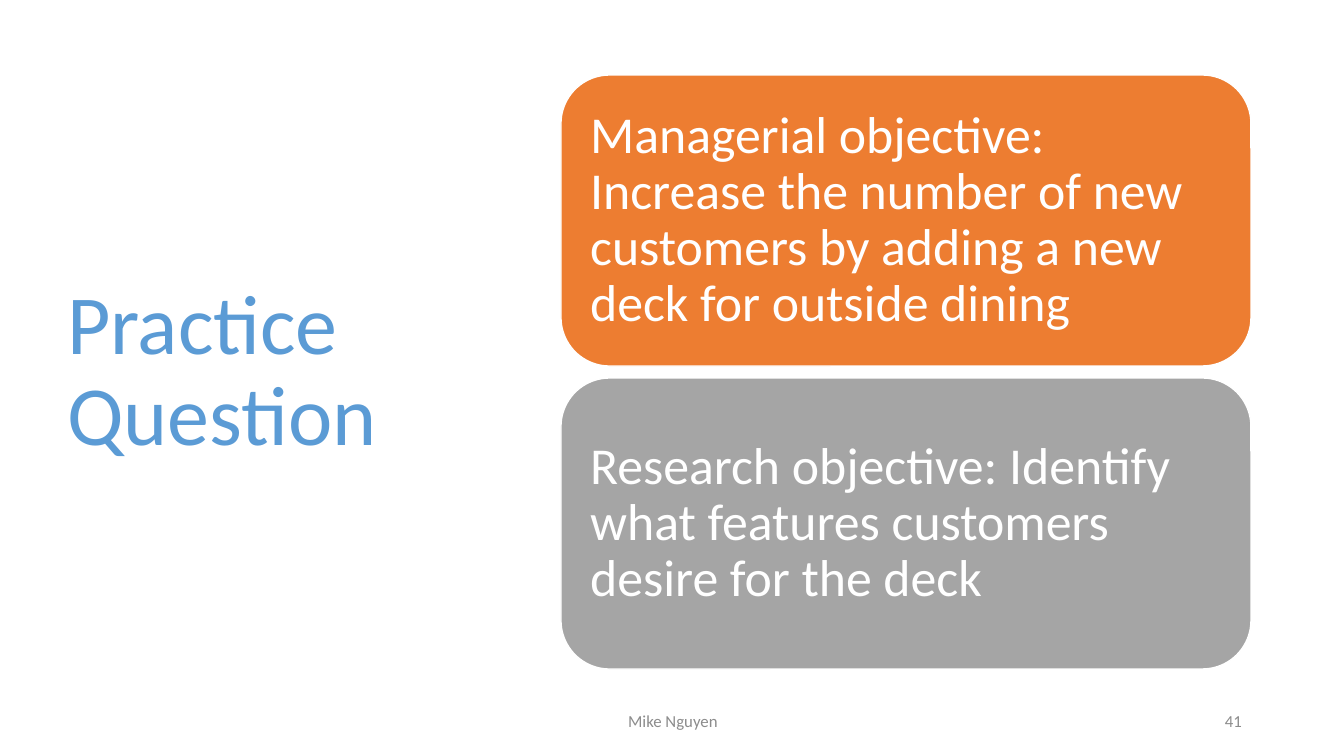
from dataclasses import dataclass

from pptx import Presentation
from pptx.dml.color import RGBColor
from pptx.enum.shapes import MSO_SHAPE
from pptx.enum.text import MSO_ANCHOR, MSO_AUTO_SIZE, PP_ALIGN
from pptx.util import Emu, Pt

ROUNDED = MSO_SHAPE.ROUNDED_RECTANGLE
MIDDLE = MSO_ANCHOR.MIDDLE
NO_FIT = MSO_AUTO_SIZE.NONE
LEFT, CENTER, RIGHT = PP_ALIGN.LEFT, PP_ALIGN.CENTER, PP_ALIGN.RIGHT

PAGE_WIDTH, PAGE_HEIGHT = 1344, 756
EMU_PER_PX = 12192000 / PAGE_WIDTH


@dataclass(frozen=True)
class Theme:
    font: str = "Calibri"
    title: str = "5B9BD5"
    footer: str = "8C8C8C"
    white: str = "FFFFFF"
    managerial: str = "ED7D31"
    research: str = "A5A5A5"
    title_size: int = 60
    objective_size: int = 37
    footer_size: int = 12


THEME = Theme()

OBJECTIVES = [
    ("Managerial objective: Increase the number of new customers "
     "by adding a new deck for outside dining", THEME.managerial),
    ("Research objective: Identify what features customers "
     "desire for the deck", THEME.research),
]
OBJECTIVE_LEFT, OBJECTIVE_TOP = 561, 75
OBJECTIVE_WIDTH, OBJECTIVE_HEIGHT, OBJECTIVE_GAP = 690, 291, 14
OBJECTIVE_INSET = 15


def px(length):
    return Emu(round(length * EMU_PER_PX))


def write_text(shape, text, size, color, align=LEFT, line_spacing=1.0, space_after=0):
    frame = shape.text_frame
    frame.word_wrap = True
    frame.auto_size = NO_FIT
    frame.vertical_anchor = MIDDLE
    para = frame.paragraphs[0]
    para.alignment = align
    para.line_spacing = line_spacing
    para.space_after = Pt(space_after)
    span = para.add_run()
    span.text = text
    span.font.name = THEME.font
    span.font.size = Pt(size)
    span.font.color.rgb = RGBColor.from_string(color)


def place_title(page, text, left, top, width, height):
    title = page.shapes.title
    title.left, title.top = px(left), px(top)
    title.width, title.height = px(width), px(height)
    write_text(title, text, THEME.title_size, THEME.title, line_spacing=0.9)


def add_footer(page, text, left, width, align):
    box = page.shapes.add_textbox(px(left), px(701), px(width), px(40))
    write_text(box, text, THEME.footer_size, THEME.footer, align, space_after=6)


def add_objective(page, text, color, top):
    box = page.shapes.add_shape(
        ROUNDED, px(OBJECTIVE_LEFT), px(top), px(OBJECTIVE_WIDTH), px(OBJECTIVE_HEIGHT))
    box.shadow.inherit = False
    box.fill.solid()
    box.fill.fore_color.rgb = RGBColor.from_string(color)
    box.line.color.rgb = RGBColor.from_string(THEME.white)
    box.line.width = Pt(1)
    frame = box.text_frame
    frame.margin_left = frame.margin_right = px(OBJECTIVE_INSET)
    frame.margin_top = frame.margin_bottom = px(OBJECTIVE_INSET)
    write_text(box, text, THEME.objective_size, THEME.white, line_spacing=0.9)


def main():
    deck = Presentation()
    deck.slide_width, deck.slide_height = px(PAGE_WIDTH), px(PAGE_HEIGHT)
    page = deck.slides.add_slide(deck.slide_layouts[5])
    place_title(page, "Practice Question", 57, 69, 419, 607)
    add_footer(page, "Mike Nguyen", 446, 454, CENTER)
    add_footer(page, "41", 950, 302, RIGHT)
    for index, (text, color) in enumerate(OBJECTIVES):
        top = OBJECTIVE_TOP + index * (OBJECTIVE_HEIGHT + OBJECTIVE_GAP - 2)
        add_objective(page, text, color, top)
    deck.save("out.pptx")


if __name__ == "__main__":
    main()
